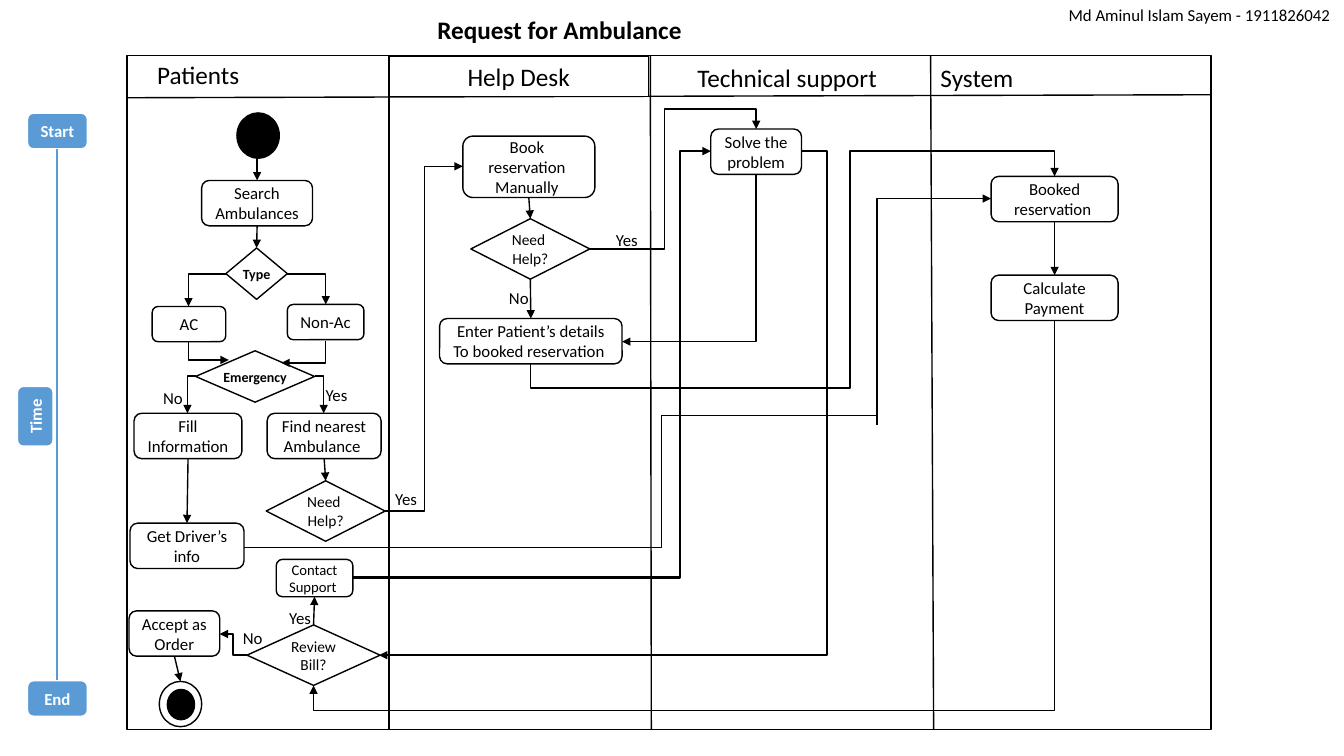
import copy
from dataclasses import dataclass

import pptx
import pptx.dml.color
import pptx.enum.shapes
import pptx.enum.text
import pptx.oxml
import pptx.oxml.ns
import pptx.util

Inches = pptx.util.Inches
qn = pptx.oxml.ns.qn
Kind = pptx.enum.shapes.MSO_SHAPE
Route = pptx.enum.shapes.MSO_CONNECTOR
Align = pptx.enum.text.PP_ALIGN
Anchor = pptx.enum.text.MSO_ANCHOR
AutoSize = pptx.enum.text.MSO_AUTO_SIZE


@dataclass(frozen=True)
class Theme:
    ink: str = "000000"
    paper: str = "FFFFFF"
    accent: str = "5B9BD5"
    font: str = "Calibri"
    heading: float = 18
    body: float = 12
    question: float = 11
    small: float = 10.5
    tiny: float = 10
    thin: float = 1
    thick: float = 1.5


theme = Theme()


def write(shape, text, size, color=theme.ink, bold=False, align=Align.CENTER, **frame_format):
    """Put text in a shape; a vertical tab in it is a line break."""
    frame = shape.text_frame
    frame.text = text
    for name, value in frame_format.items():
        setattr(frame, name, value)
    font_format = {"name": theme.font, "size": pptx.util.Pt(size), "bold": bold}
    for paragraph in frame.paragraphs:
        paragraph.alignment = align
        for run in paragraph.runs:
            for name, value in font_format.items():
                setattr(run.font, name, value)
            run.font.color.rgb = pptx.dml.color.RGBColor.from_string(color)
    for line_break in shape.element.iter(qn("a:br")):
        line_break.append(copy.deepcopy(frame.paragraphs[0].runs[0].font._element))


def outline(shape, color=theme.ink, width=theme.thin, arrow=False):
    """Set the line of a shape or connector and clear a connector's shadow."""
    shape.line.color.rgb = pptx.dml.color.RGBColor.from_string(color)
    shape.line.width = pptx.util.Pt(width)
    if arrow:
        pptx.oxml.ns  # arrowheads belong to the a:ln element
        head = shape.line._get_or_add_ln().makeelement(qn("a:tailEnd"), {"type": "triangle"})
        shape.line._get_or_add_ln().append(head)
    properties = shape.element.spPr
    if properties.find(qn("a:effectLst")) is None:
        properties.append(properties.makeelement(qn("a:effectLst"), {}))


presentation = pptx.Presentation()
presentation.slide_width = Inches(13.33)
presentation.slide_height = Inches(7.5)
shapes = presentation.slides.add_slide(presentation.slide_layouts[6]).shapes

# Swimlanes: header rule and lane dividers
for x1, y1, x2, y2 in [
    (1.26, 0.97, 12.01, 0.94),
    (3.86, 0.55, 3.86, 7.24),
    (6.45, 0.55, 6.46, 7.24),
    (9.23, 0.55, 9.26, 7.24),
]:
    outline(shapes.add_connector(Route.STRAIGHT, *map(Inches, (x1, y1, x2, y2))))

# Boxes of the diagram: kind, left, top, width, height, fill
box = Kind.FLOWCHART_ALTERNATE_PROCESS
choice = Kind.FLOWCHART_DECISION
outlines = {
    "frame": (Kind.RECTANGLE, 1.26, 0.55, 10.75, 6.69, None),
    "help desk": (Kind.RECTANGLE, 3.86, 0.56, 2.57, 0.4, theme.paper),
    "start dot": (Kind.OVAL, 2.35, 1.12, 0.42, 0.45, theme.ink),
    "end dot": (Kind.OVAL, 1.66, 6.84, 0.27, 0.3, theme.ink),
    "end ring": (Kind.OVAL, 1.58, 6.76, 0.42, 0.45, None),
    "search": (box, 2, 1.79, 1.1, 0.45, theme.paper),
    "type": (choice, 2.24, 2.46, 0.61, 0.51, theme.paper),
    "ac": (box, 1.51, 3.04, 0.73, 0.35, theme.paper),
    "non-ac": (box, 2.85, 3.02, 0.76, 0.35, theme.paper),
    "emergency": (choice, 1.94, 3.48, 1.18, 0.51, theme.paper),
    "fill": (box, 1.33, 4.1, 1.07, 0.45, theme.paper),
    "nearest": (box, 2.65, 4.1, 1.13, 0.45, theme.paper),
    "patient help": (choice, 2.64, 4.77, 1.18, 0.6, theme.paper),
    "driver": (box, 1.29, 5.19, 1.13, 0.45, theme.paper),
    "contact": (box, 2.74, 5.55, 0.76, 0.37, theme.paper),
    "accept": (box, 1.28, 6.06, 0.9, 0.45, theme.paper),
    "review": (choice, 2.45, 6.2, 1.32, 0.6, theme.paper),
    "manual": (box, 4.59, 1.35, 1.31, 0.61, theme.paper),
    "desk help": (choice, 4.67, 2.17, 1.18, 0.6, theme.paper),
    "details": (box, 4.36, 3.16, 1.81, 0.45, theme.paper),
    "solve": (box, 7.05, 1.28, 0.9, 0.45, theme.paper),
    "booked": (box, 9.83, 1.75, 1.26, 0.45, theme.paper),
    "payment": (box, 9.83, 2.73, 1.26, 0.45, theme.paper),
    "time start": (box, 0.27, 1.12, 0.6, 0.36, theme.accent),
    "time end": (box, 0.27, 6.75, 0.6, 0.36, theme.accent),
    "time": (box, 0.05, 3.95, 0.6, 0.36, theme.accent),
}
nodes = {}
for name, (kind, left, top, width, height, fill) in outlines.items():
    node = nodes[name] = shapes.add_shape(kind, *map(Inches, (left, top, width, height)))
    node.shadow.inherit = False
    if fill:
        node.fill.solid()
        node.fill.fore_color.rgb = pptx.dml.color.RGBColor.from_string(fill)
    else:
        node.fill.background()
    if fill == theme.accent:
        outline(node, theme.paper, theme.thick)
    else:
        outline(node)
nodes["time"].rotation = 270

for name, text, size in [
    ("help desk", "Help Desk", theme.heading),
    ("search", "Search\vAmbulances ", theme.body),
    ("ac", "AC", theme.body),
    ("non-ac", "Non-Ac", theme.body),
    ("fill", "Fill Information", theme.body),
    ("nearest", "Find nearest Ambulance ", theme.body),
    ("patient help", "Need \vHelp?", theme.question),
    ("driver", "Get Driver’s\ninfo", theme.body),
    ("contact", "Contact Support ", theme.small),
    ("accept", "Accept as Order", theme.body),
    ("review", "Review Bill?", theme.question),
    ("manual", "Book \vreservation \vManually ", theme.body),
    ("desk help", "Need \vHelp?", theme.question),
    ("details", "Enter Patient’s details\vTo booked reservation ", theme.body),
    ("solve", "Solve the problem", theme.body),
    ("booked", "Booked reservation ", theme.body),
    ("payment", "Calculate Payment", theme.body),
]:
    write(nodes[name], text, size, vertical_anchor=Anchor.MIDDLE)
for name, text in [("type", "Type"), ("emergency", "Emergency")]:
    write(nodes[name], text, theme.tiny, bold=True, vertical_anchor=Anchor.MIDDLE,
          word_wrap=False, margin_left=0, margin_right=0)
for name, text in [("time start", "Start"), ("time", "Time"), ("time end", "End")]:
    write(nodes[name], text, theme.body, theme.paper, True, vertical_anchor=Anchor.MIDDLE)

# Headings and answers beside the arrows
for text, left, top, width, height, size, bold, align, wrap in [
    ("Request for Ambulance", 4.23, 0.09, 2.64, 0.4, theme.heading, True, Align.CENTER, False),
    ("Md Aminul Islam Sayem - 1911826042", 10.5, 0, 2.83, 0.3, theme.body, False, Align.LEFT, False),
    ("Patients", 1.46, 0.54, 2.39, 0.4, theme.heading, False, Align.LEFT, True),
    ("Technical support ", 6.45, 0.57, 2.77, 0.4, theme.heading, False, Align.CENTER, True),
    ("System", 9.23, 0.57, 2.8, 0.4, theme.heading, False, Align.LEFT, True),
] + [
    (answer, left, top, 0.42 if answer == "Yes" else 0.4, 0.3, theme.body, False, Align.LEFT, False)
    for answer, left, top in [
        ("No", 1.52, 3.8), ("Yes", 3.13, 3.77), ("Yes", 3.82, 4.8), ("Yes", 2.77, 5.98),
        ("No", 2.31, 6.18), ("Yes", 6.01, 2.23), ("No", 4.95, 2.81),
    ]
]:
    label = shapes.add_textbox(*map(Inches, (left, top, width, height)))
    write(label, text, size, bold=bold, align=align, word_wrap=wrap,
          auto_size=AutoSize.SHAPE_TO_FIT_TEXT)

# Straight steps, joined from bottom to top unless the flow runs upward
for source, target, source_side, target_side in [
    ("search", "type", 2, 0),
    ("fill", "driver", 2, 0),
    ("nearest", "patient help", 2, 0),
    ("review", "contact", 0, 2),
    ("manual", "desk help", 2, 0),
    ("desk help", "details", 2, 0),
    ("booked", "payment", 2, 0),
    ("time start", "time end", 2, 0),
]:
    step = shapes.add_connector(Route.STRAIGHT, 0, 0, 0, 0)
    step.begin_connect(nodes[source], source_side)
    step.end_connect(nodes[target], target_side)
    if source == "time start":
        outline(step, theme.accent, theme.thick)
    else:
        outline(step, arrow=True)
first_step = shapes.add_connector(Route.STRAIGHT, *map(Inches, (2.55, 1.57, 2.55, 1.79)))
first_step.end_connect(nodes["search"], 0)
last_step = shapes.add_connector(Route.STRAIGHT, *map(Inches, (1.8, 6.52, 1.79, 6.76)))
last_step.begin_connect(nodes["accept"], 2)
for step in (first_step, last_step):
    outline(step, arrow=True)

# Bent steps: corner points, line width, arrow
for points, width, arrow in [
    ([(2.24, 2.72), (1.87, 2.72), (1.87, 3.04)], theme.thin, True),
    ([(2.84, 2.72), (3.23, 2.72), (3.23, 3.02)], theme.thin, True),
    ([(1.87, 3.39), (1.87, 3.57), (2.27, 3.57)], theme.thin, True),
    ([(3.23, 3.38), (3.23, 3.6), (2.79, 3.6)], theme.thin, True),
    ([(1.94, 3.73), (1.86, 3.73), (1.86, 4.1)], theme.thin, True),
    ([(3.12, 3.73), (3.21, 3.73), (3.21, 4.1)], theme.thin, True),
    ([(3.82, 5.07), (4.21, 5.07), (4.21, 1.65), (4.59, 1.65)], theme.thin, True),
    ([(5.85, 2.47), (6.59, 2.47), (6.59, 1.08), (7.5, 1.08), (7.5, 1.28)], theme.thin, True),
    ([(7.5, 1.73), (7.5, 3.39), (6.17, 3.39)], theme.thin, True),
    ([(5.26, 3.61), (5.26, 3.85), (8.33, 3.85)], theme.thin, False),
    ([(8.33, 3.85), (8.43, 3.85), (8.43, 1.5), (10.46, 1.5), (10.46, 1.75)], theme.thin, True),
    ([(2.42, 5.43), (6.56, 5.43), (6.56, 4.12), (8.69, 4.12)], theme.thin, False),
    ([(8.7, 4.22), (8.7, 1.97), (9.83, 1.97)], theme.thin, True),
    ([(10.46, 3.18), (10.46, 7.05), (3.11, 7.05), (3.11, 6.8)], theme.thin, True),
    ([(2.45, 6.5), (2.31, 6.5), (2.31, 6.29), (2.18, 6.29)], theme.thin, True),
    ([(3.5, 5.73), (6.74, 5.73), (6.74, 1.5), (7.05, 1.5)], theme.thick, True),
    ([(7.95, 1.5), (8.2, 1.5), (8.2, 6.5), (3.76, 6.5)], theme.thick, True),
]:
    (x1, y1), (x2, y2) = points[0], points[-1]
    dx, dy = x2 - x1, y2 - y1
    bend = shapes.add_connector(Route.ELBOW, *map(Inches, (x1, y1, x2, y2)))
    flips = {"flipH": dx < 0, "flipV": dy < 0}
    starts_down = points[1][0] == x1
    if starts_down:  # a quarter turn of the sideways route
        bend.left, bend.top = Inches((x1 + x2 - abs(dy)) / 2), Inches((y1 + y2 - abs(dx)) / 2)
        bend.width, bend.height = Inches(abs(dy)), Inches(abs(dx))
        bend.rotation = 90
        flips = {"flipH": dy < 0, "flipV": dx > 0}
    for name, flipped in flips.items():
        bend.element.spPr.find(qn("a:xfrm")).set(name, str(int(flipped)))
    geometry = bend.element.spPr.find(qn("a:prstGeom"))
    geometry.set("prst", f"bentConnector{len(points) - 1}")
    adjustments = geometry.find(qn("a:avLst"))
    for number, (x, y) in enumerate(points[1:-2], 1):
        along_y = starts_down
        if number == 2:
            x, y = points[2]
            along_y = not starts_down
        share = (y - y1) / dy if along_y else (x - x1) / dx
        guide = {"name": f"adj{number}", "fmla": f"val {round(share * 100000)}"}
        adjustments.append(adjustments.makeelement(qn("a:gd"), guide))
    outline(bend, width=width, arrow=arrow)

presentation.save("out.pptx")
